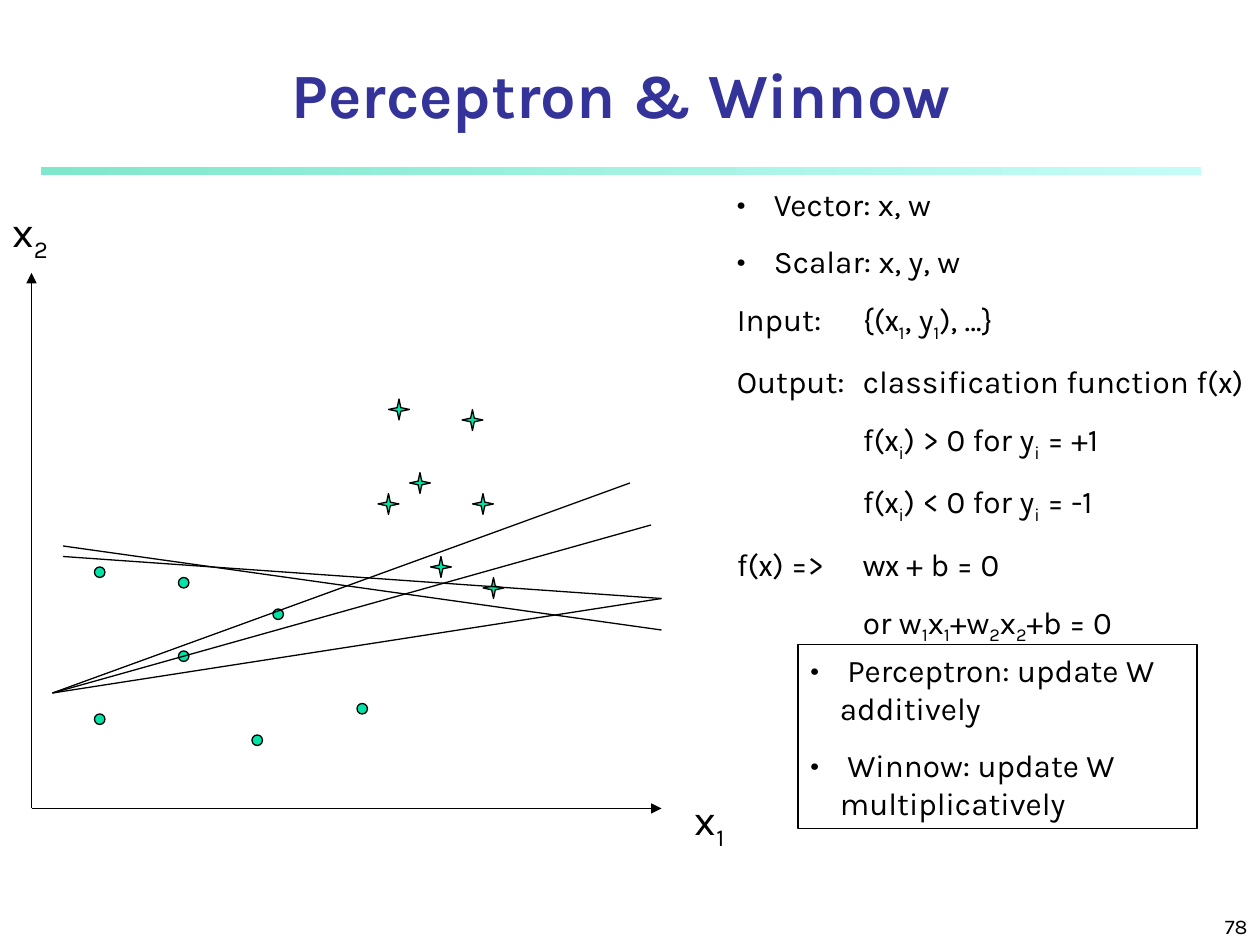
from dataclasses import dataclass
from lxml.etree import SubElement as Sub
from pptx import Presentation
from pptx.dml.color import RGBColor as Rgb
from pptx.enum.shapes import MSO_CONNECTOR as Link, MSO_SHAPE as Kind
from pptx.enum.text import MSO_ANCHOR as Anchor, MSO_AUTO_SIZE as Fit, PP_ALIGN as Align
from pptx.oxml.ns import qn
from pptx.util import Pt


@dataclass
class Theme:
    font: str = "Karla"
    math: str = "Calibri"
    ink: Rgb = Rgb(0, 0, 0)
    head: Rgb = Rgb(0x33, 0x33, 0x99)
    mark: Rgb = Rgb(0x00, 0xE4, 0xA8)
    bar: tuple = (Rgb(0x80, 0xE7, 0xCC), Rgb(0xC5, 0xFC, 0xF7))
    title: int = 36
    axis: int = 24
    body: int = 18
    page: int = 12
    gap: float = 11.25
    line: float = 0.75


theme = Theme()
PX = 914400 // 120


def px(*nums):
    return [n * PX for n in nums]


def write(frame, rows, size, color=theme.ink, bold=False, align=Align.LEFT):
    frame.word_wrap = True
    frame.auto_size = Fit.NONE
    for i, row in enumerate(rows):
        para = frame.paragraphs[0] if i == 0 else frame.add_paragraph()
        para.alignment = align
        if i:
            para.space_before = Pt(theme.gap)
        props = para._p.get_or_add_pPr()
        if row[0] == "•":
            props.set("marL", str(28 * PX))
            props.set("indent", str(-28 * PX))
            Sub(props, qn("a:buFont")).set("typeface", theme.font)
            Sub(props, qn("a:buChar")).set("char", "•")
            row = row[1:]
        if "\t" in row:
            tab = Sub(Sub(props, qn("a:tabLst")), qn("a:tab"))
            tab.set("pos", str(120 * PX))
            tab.set("algn", "l")
        for part in row.split("|"):
            run = para.add_run()
            run.text = part.lstrip("_*")
            font = run.font
            font.name = theme.math if part[0] == "*" else theme.font
            font.size = Pt(size)
            font.bold = bold
            font.color.rgb = color
            if part[0] == "_":
                font._element.set("baseline", "-25000")


deck = Presentation()
deck.slide_width, deck.slide_height = px(1200, 900)
slide = deck.slides.add_slide(deck.slide_layouts[5])
shapes = slide.shapes

bar = shapes.add_shape(Kind.RECTANGLE, *px(39, 159, 1105, 8))
bar.shadow.inherit = False
bar.line.fill.background()
bar.fill.gradient()
bar.fill.gradient_angle = 0
for stop, color in zip(bar.fill.gradient_stops, theme.bar):
    stop.color.rgb = color

title = shapes.title
title.left, title.top, title.width, title.height = px(40, 45, 1103, 80)
frame = title.text_frame
frame.margin_left = frame.margin_right = frame.margin_top = frame.margin_bottom = 0
frame.vertical_anchor = Anchor.BOTTOM
write(frame, ["Perceptron & Winnow"], theme.title, theme.head, True, Align.CENTER)

page = shapes.add_textbox(*px(950, 850, 250, 50)).text_frame
page.vertical_anchor = Anchor.BOTTOM
write(page, ["78"], theme.page, align=Align.RIGHT)

notes = [
    "• Vector: x, w",
    "• Scalar: x, y, w",
    "Input:\t{(|*x|_1|, y|_1|), …}",
    "Output:\tclassification function f(|*x|)",
    "\tf(|*x|_i|) > 0 for y|_i| = +1",
    "\tf(|*x|_i|) < 0 for y|_i| = -1",
    "f(|*x|) =>\t|*wx| + b = 0",
    "\tor w|_1|x|_1|+w|_2|x|_2|+b = 0",
]
write(shapes.add_textbox(*px(690, 170, 510, 506)).text_frame, notes, theme.body)

for x, y, text in [(650, 750, "x|_1"), (0, 190, "x|_2")]:
    write(shapes.add_textbox(*px(x, y, 100, 67)).text_frame, [text], theme.axis)

dots = [(90, 540), (90, 680), (170, 550), (240, 700), (170, 620), (260, 580), (340, 670)]
stars = [(390, 450), (450, 470), (410, 530), (370, 380), (360, 470), (460, 550), (440, 390)]
for kind, size, spots in [(Kind.OVAL, 10, dots), (Kind.STAR_4_POINT, 20, stars)]:
    for x, y in spots:
        mark = shapes.add_shape(kind, *px(x, y, size, size))
        mark.shadow.inherit = False
        mark.fill.solid()
        mark.fill.fore_color.rgb = theme.mark
        mark.line.color.rgb = theme.ink
        mark.line.width = Pt(theme.line)

axes = [(30, 770, 630, 770), (30, 770, 30, 260)]
cuts = [
    (600, 460, 50, 660),
    (50, 660, 620, 500),
    (50, 660, 630, 570),
    (630, 570, 60, 530),
    (60, 520, 630, 600),
]
for ends in axes + cuts:
    line = shapes.add_connector(Link.STRAIGHT, *px(*ends))
    line.line.color.rgb = theme.ink
    line.line.width = Pt(theme.line)
    if ends in axes:
        Sub(line.line._get_or_add_ln(), qn("a:tailEnd")).set("type", "triangle")
    Sub(line._element.spPr, qn("a:effectLst"))

box = shapes.add_shape(Kind.RECTANGLE, *px(760, 614, 380, 175))
box.shadow.inherit = False
box.fill.background()
box.line.color.rgb = theme.ink
box.line.width = Pt(theme.line)
box.text_frame.vertical_anchor = Anchor.TOP
rules = ["• Perceptron: update W additively", "• Winnow: update W multiplicatively"]
write(box.text_frame, rules, theme.body)

deck.save("out.pptx")
